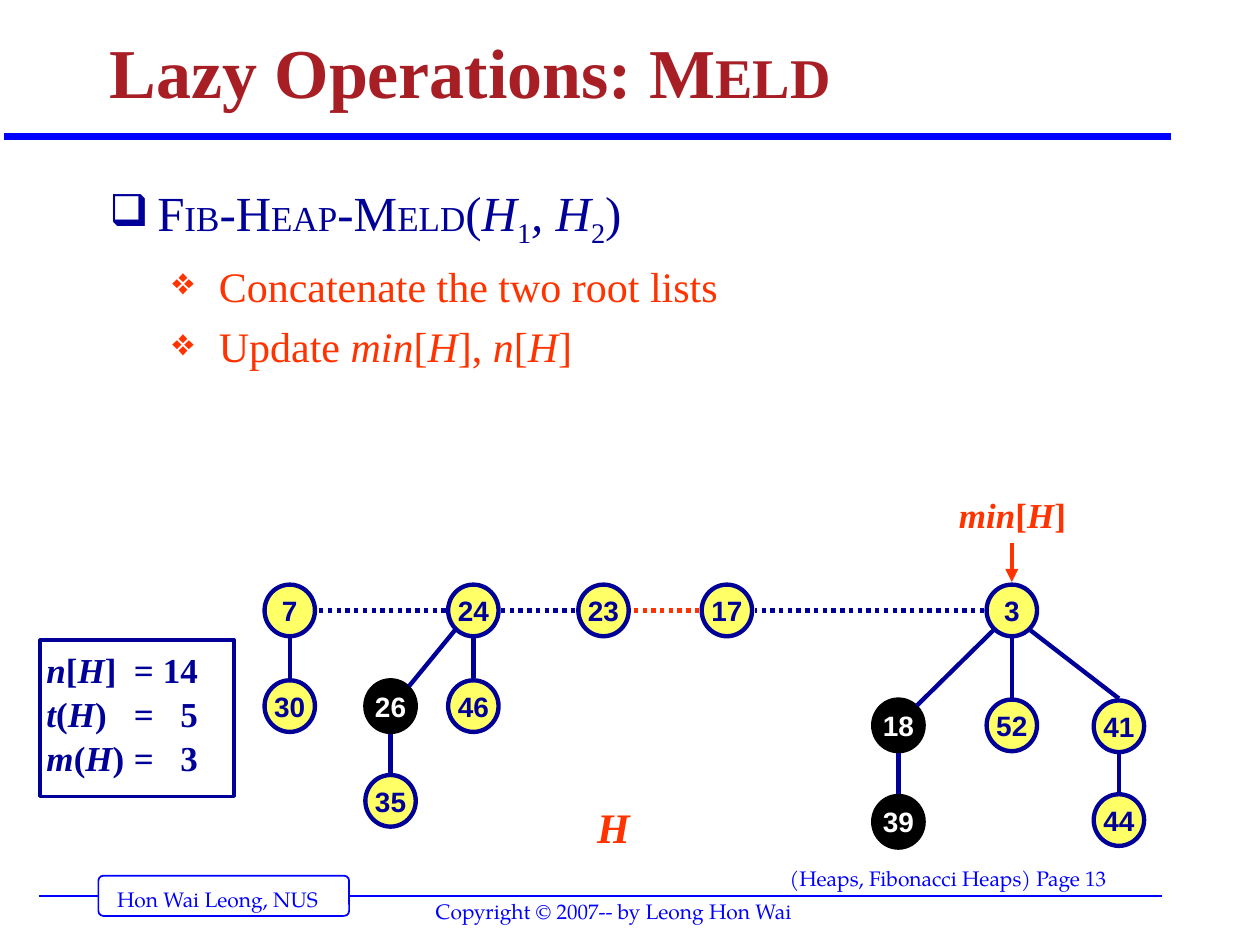
from dataclasses import dataclass
from typing import NamedTuple

from lxml import etree
from pptx import Presentation
from pptx.dml.color import RGBColor
from pptx.enum.dml import MSO_LINE
from pptx.enum.shapes import MSO_CONNECTOR, MSO_SHAPE
from pptx.enum.text import MSO_ANCHOR, MSO_AUTO_SIZE, PP_ALIGN
from pptx.oxml.ns import qn
from pptx.util import Pt

STRAIGHT = MSO_CONNECTOR.STRAIGHT
OVAL, RECTANGLE, ROUNDED = MSO_SHAPE.OVAL, MSO_SHAPE.RECTANGLE, MSO_SHAPE.ROUNDED_RECTANGLE
TOP, MIDDLE, BOTTOM = MSO_ANCHOR.TOP, MSO_ANCHOR.MIDDLE, MSO_ANCHOR.BOTTOM
LEFT, CENTER = PP_ALIGN.LEFT, PP_ALIGN.CENTER
DOTTED = MSO_LINE.ROUND_DOT
NO_FIT = MSO_AUTO_SIZE.NONE


@dataclass(frozen=True)
class Theme:
    serif: str = "Times New Roman"
    sans: str = "Arial"
    footer_font: str = "TeX Gyre Pagella"
    navy: str = "000099"
    blue: str = "0000FF"
    orange: str = "FF3300"
    maroon: str = "A81E25"
    yellow: str = "FFFF66"
    black: str = "000000"
    white: str = "FFFFFF"
    title: int = 40
    title_small: int = 32
    heading: int = 28
    heading_small: int = 20
    point: int = 24
    label: int = 20
    key: int = 16
    footer: int = 12


THEME = Theme()


class Box(NamedTuple):
    left: float
    top: float
    width: float
    height: float


class Style(NamedTuple):
    font: str
    size: int
    color: str
    bold: bool = False
    small: int = 0


class Node(NamedTuple):
    key: int
    x: float
    y: float
    marked: bool = False


class Edge(NamedTuple):
    start: int
    start_side: str
    end: int
    end_side: str
    color: str = THEME.navy
    dotted: bool = False


class Bullet(NamedTuple):
    mark: str
    indent: float
    hanging: float


NODE_WIDTH, NODE_HEIGHT = 28.8, 29.5
REACH, CORNER_X, CORNER_Y = 15.8, 10.5, 11.3
SIDES = {
    "N": (0, -REACH), "S": (0, REACH), "W": (-REACH, 0), "E": (REACH, 0),
    "NE": (CORNER_X, -CORNER_Y), "NW": (-CORNER_X, -CORNER_Y),
    "SE": (CORNER_X, CORNER_Y), "SW": (-CORNER_X, CORNER_Y),
}
ROOT_ROW = 348.8
NODES = [
    Node(7, 165.6, ROOT_ROW), Node(24, 270.5, ROOT_ROW), Node(23, 344.9, ROOT_ROW),
    Node(17, 415.4, ROOT_ROW), Node(3, 578.2, ROOT_ROW),
    Node(30, 165.6, 403.5), Node(26, 223.2, 403.5, True), Node(46, 270.5, 403.5),
    Node(35, 223.2, 457.6),
    Node(18, 513.4, 414.5, True), Node(52, 578.2, 414.5), Node(41, 639.4, 415),
    Node(39, 513.4, 469.6, True), Node(44, 639.4, 468.6),
]
EDGES = [
    Edge(24, "W", 7, "E", dotted=True), Edge(24, "E", 23, "W", dotted=True),
    Edge(17, "W", 23, "E", THEME.orange, True), Edge(3, "W", 17, "E", dotted=True),
    Edge(30, "N", 7, "S"), Edge(26, "NE", 24, "SW"), Edge(46, "N", 24, "S"),
    Edge(35, "N", 26, "S"), Edge(18, "NE", 3, "SW"), Edge(52, "N", 3, "S"),
    Edge(41, "N", 3, "SE"), Edge(39, "N", 18, "S"), Edge(44, "N", 41, "S"),
]


def write(para, markup: str, style: Style, align=LEFT) -> None:
    """Markup: * toggles italic, _ toggles subscript, ~ toggles small size."""
    para.alignment = align
    para.font.name, para.font.size = style.font, Pt(style.size)
    para.font.bold = style.bold
    para.font.color.rgb = RGBColor.from_string(style.color)
    active: set[str] = set()
    text = ""
    for char in markup + "*":
        if char not in "*_~":
            text += char
            continue
        if text:
            span = para.add_run()
            span.text = text
            if "*" in active:
                span.font.italic = True
            if "~" in active:
                span.font.size = Pt(style.small)
            if "_" in active:
                span.font._element.set("baseline", "-25000")
        active ^= {char}
        text = ""


def set_frame(frame, inset: float = 7.2, anchor=TOP, wrap: bool = True) -> None:
    frame.auto_size, frame.word_wrap, frame.vertical_anchor = NO_FIT, wrap, anchor
    frame.margin_left = frame.margin_right = Pt(inset)
    frame.margin_top = frame.margin_bottom = Pt(3.6)


def add_text(slide, box: Box, markup: str, style: Style, align=LEFT, inset: float = 7.2) -> None:
    frame = slide.shapes.add_textbox(*map(Pt, box)).text_frame
    set_frame(frame, inset)
    write(frame.paragraphs[0], markup, style, align)


def add_box(slide, kind, box: Box, line: str, width: float, fill: str = ""):
    shape = slide.shapes.add_shape(kind, *map(Pt, box))
    shape.shadow.inherit = False
    if fill:
        shape.fill.solid()
        shape.fill.fore_color.rgb = RGBColor.from_string(fill)
    else:
        shape.fill.background()
    shape.line.color.rgb = RGBColor.from_string(line)
    shape.line.width = Pt(width)
    return shape


def add_line(slide, start, end, color: str, width: float, dotted=False, arrow=False) -> None:
    line = slide.shapes.add_connector(STRAIGHT, *map(Pt, (*start, *end)))
    line.line.color.rgb = RGBColor.from_string(color)
    line.line.width = Pt(width)
    if dotted:
        line.line.dash_style = DOTTED
    properties = line._element.spPr
    if arrow:
        etree.SubElement(properties.find(qn("a:ln")), qn("a:headEnd"), type="triangle")
    etree.SubElement(properties, qn("a:effectLst"))


def add_node(slide, node: Node) -> None:
    line, fill, ink = ((THEME.black, THEME.black, THEME.white) if node.marked
                       else (THEME.navy, THEME.yellow, THEME.navy))
    box = Box(node.x - NODE_WIDTH / 2, node.y - NODE_HEIGHT / 2, NODE_WIDTH, NODE_HEIGHT)
    frame = add_box(slide, OVAL, box, line, 2.5, fill).text_frame
    set_frame(frame, anchor=MIDDLE, wrap=False)
    write(frame.paragraphs[0], str(node.key), Style(THEME.sans, THEME.key, ink, True), CENTER)


def add_edge(slide, edge: Edge, nodes: dict[int, Node]) -> None:
    ends = [(nodes[key].x + SIDES[side][0], nodes[key].y + SIDES[side][1])
            for key, side in ((edge.start, edge.start_side), (edge.end, edge.end_side))]
    add_line(slide, *ends, edge.color, 2.5, edge.dotted)


def set_bullet(para, bullet: Bullet, color: str) -> None:
    properties = para._p.get_or_add_pPr()
    properties.set("marL", str(Pt(bullet.indent)))
    properties.set("indent", str(Pt(-bullet.hanging)))
    tint = etree.SubElement(properties, qn("a:buClr"))
    etree.SubElement(tint, qn("a:srgbClr"), val=color)
    etree.SubElement(properties, qn("a:buSzPct"), val="90000")
    etree.SubElement(properties, qn("a:buChar"), char=bullet.mark)


def add_body(slide) -> None:
    frame = slide.shapes.add_textbox(*map(Pt, (55.4, 100.8, 614.2, 115.2))).text_frame
    set_frame(frame)
    heading = Style(THEME.serif, THEME.heading, THEME.navy, small=THEME.heading_small)
    point = Style(THEME.serif, THEME.point, THEME.orange)
    square, diamond = Bullet("❑", 27.4, 27.4), Bullet("❖", 62.6, 26.6)
    rows = [("F~IB~-H~EAP~-M~ELD~(*H*_1_*, H*_2_)", heading, square),
            ("Concatenate the two root lists", point, diamond),
            ("Update *min*[*H*], *n*[*H*]", point, diamond)]
    for index, (markup, style, bullet) in enumerate(rows):
        para = frame.add_paragraph() if index else frame.paragraphs[0]
        if index:
            para.level = 1
            para.space_before = Pt(6)
        set_bullet(para, bullet, style.color)
        write(para, markup, style)


def add_counts(slide) -> None:
    frame = add_box(slide, RECTANGLE, Box(23, 365.8, 110.9, 89.3), THEME.navy, 2).text_frame
    set_frame(frame, 3.6)
    style = Style(THEME.serif, THEME.label, THEME.navy, True)
    for index, markup in enumerate(("*n*[*H*]\t=\t14", "*t*(*H*)\t=\t5", "*m*(*H*)\t=\t3")):
        para = frame.add_paragraph() if index else frame.paragraphs[0]
        para.line_spacing = 1.05
        tabs = etree.SubElement(para._p.get_or_add_pPr(), qn("a:tabLst"))
        for position, side in ((50, "l"), (86.5, "r")):
            etree.SubElement(tabs, qn("a:tab"), pos=str(Pt(position)), algn=side)
        write(para, markup, style)


def main() -> None:
    deck = Presentation()
    deck.slide_width, deck.slide_height = Pt(720), Pt(540)
    page = deck.slides.add_slide(deck.slide_layouts[5])

    add_line(page, (22.3, 511.9), (663.8, 511.9), THEME.blue, 1)
    badge = add_box(page, ROUNDED, Box(56.2, 500.4, 143.3, 23), THEME.blue, 1, THEME.white)
    badge.adjustments[0] = 0.125
    add_line(page, (2.2, 77.8), (668.9, 77.8), THEME.blue, 4)
    footer = Style(THEME.footer_font, THEME.footer, THEME.blue)
    add_text(page, Box(59.8, 503.3, 136, 21.6), "Hon Wai Leong, NUS", footer)
    add_text(page, Box(444.2, 491, 247.7, 23), "(Heaps, Fibonacci Heaps) Page 13", footer)
    add_text(page, Box(241.9, 509.8, 226.8, 21.6), "Copyright © 2007-- by Leong Hon Wai", footer)

    title = page.shapes.title
    title.left, title.top, title.width, title.height = map(Pt, (55.4, 5.8, 612, 62.6))
    set_frame(title.text_frame, anchor=BOTTOM)
    para = title.text_frame.paragraphs[0]
    para.line_spacing = 0.9
    write(para, "Lazy Operations: M~ELD~",
          Style(THEME.serif, THEME.title, THEME.maroon, True, THEME.title_small))
    add_body(page)

    for node in NODES:
        add_node(page, node)
    nodes = {node.key: node for node in NODES}
    for edge in EDGES:
        add_edge(page, edge, nodes)
    add_line(page, (578.2, 332.6), (578.2, 310.3), THEME.orange, 2.5, arrow=True)
    add_text(page, Box(334.1, 454.3, 40.3, 36), "*H*",
             Style(THEME.serif, THEME.point, THEME.orange, True))
    add_text(page, Box(540.7, 278.6, 75.6, 31.7), "*min*[*H*]",
             Style(THEME.serif, THEME.label, THEME.orange, True), CENTER, 3.6)
    add_counts(page)
    deck.save("out.pptx")


if __name__ == "__main__":
    main()
